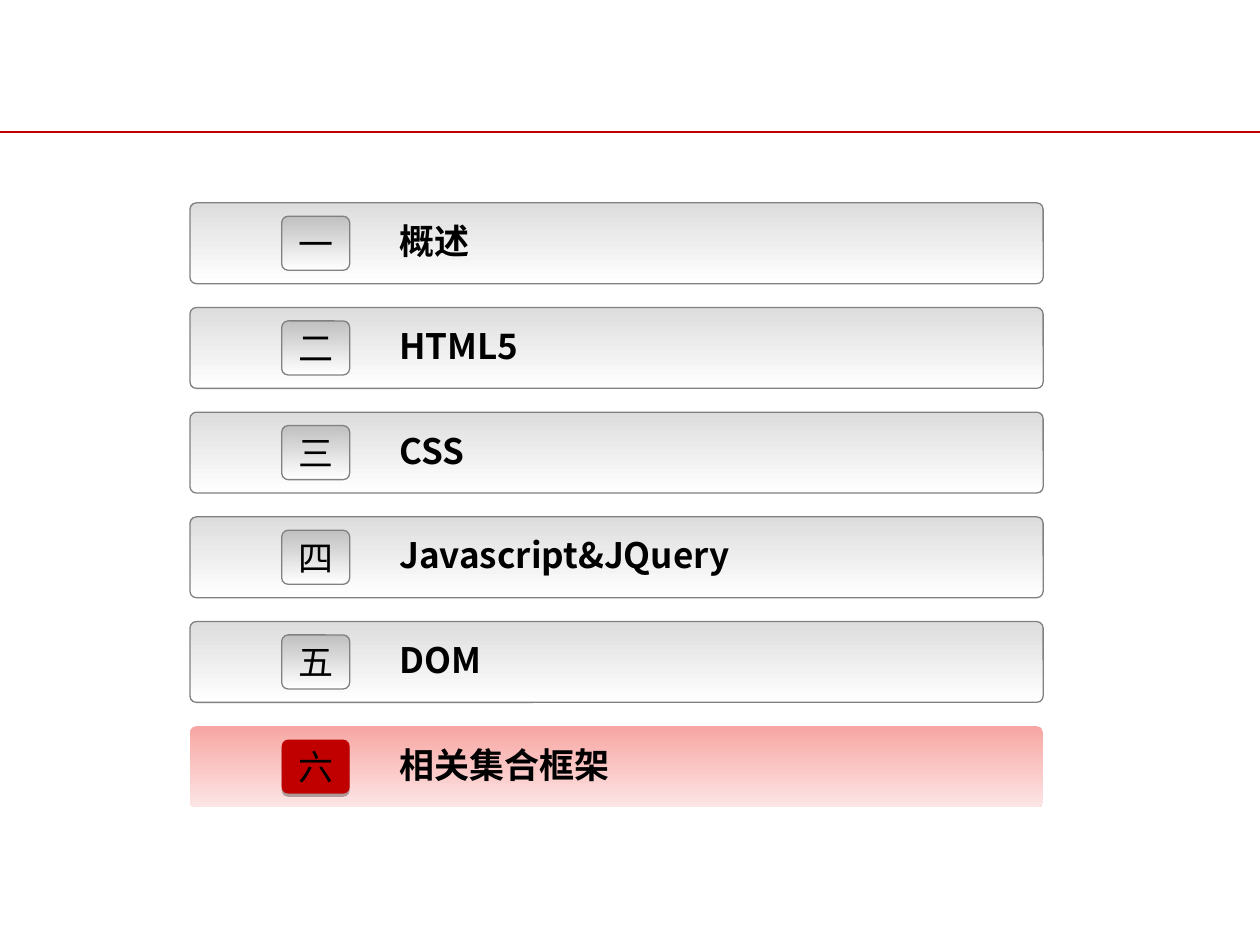
from lxml.etree import SubElement
from pptx import Presentation
from pptx.dml.color import RGBColor
from pptx.enum.shapes import MSO_CONNECTOR, MSO_SHAPE
from pptx.enum.text import MSO_ANCHOR, PP_ALIGN
from pptx.oxml.ns import qn
from pptx.util import Cm, Pt

CHAPTERS = [
    ("一", "概述", "Arial"),
    ("二", "HTML5", "Noto Sans CJK SC"),
    ("三", "CSS", "Noto Sans CJK SC"),
    ("四", "Javascript&JQuery", "Noto Sans CJK SC"),
    ("五", "DOM", "Noto Sans CJK SC"),
    ("六", "相关集合框架", "Noto Sans CJK SC"),
]
CURRENT = 5
FIRST_TOP, ROW_STEP = 4.09, 2.11  # centimetres
RED, GREY = "C00000", "808080"


def color(value):
    return RGBColor.from_string(value)


def write_text(shape, text, font="Noto Sans CJK SC", size=20, bold=False,
               align=PP_ALIGN.LEFT, anchor=MSO_ANCHOR.TOP, wrap=True):
    frame = shape.text_frame
    frame.word_wrap = wrap
    frame.vertical_anchor = anchor
    para = frame.paragraphs[0]
    para.alignment = align
    span = para.add_run()
    span.text = text
    span.font.name = font
    span.font.size = Pt(size)
    span.font.bold = bold
    span.font.color.rgb = color("000000")
    # Chinese characters take the East Asian font
    SubElement(span.font._element, qn("a:ea"), typeface="Noto Sans CJK SC")


def paint(shape, fills, outline=None):
    """Fill with one colour, or with a gradient from top to bottom."""
    if len(fills) == 1:
        shape.fill.solid()
        shape.fill.fore_color.rgb = color(fills[0])
    else:
        shape.fill.gradient()
        shape.fill.gradient_angle = 270
        for stop, value, position in zip(shape.fill.gradient_stops, fills, (0, 1)):
            stop.color.rgb = color(value)
            stop.position = position
    if outline:
        shape.line.color.rgb = color(outline)
        shape.line.width = Pt(0.75)
    else:
        shape.line.fill.background()


def add_panel(page, left, top, width, height, rounding, fills, outline):
    panel = page.shapes.add_shape(MSO_SHAPE.ROUNDED_RECTANGLE,
                                  Cm(left), Cm(top), Cm(width), Cm(height))
    panel.adjustments[0] = rounding
    panel.shadow.inherit = False
    paint(panel, fills, outline)
    return panel


def add_drop_shadow(shape):
    effects = shape._element.spPr.find(qn("a:effectLst"))
    shadow = SubElement(effects, qn("a:outerShdw"), blurRad="0",
                        dist=str(Pt(1.8)), dir="5400000", rotWithShape="0")
    shade = SubElement(shadow, qn("a:srgbClr"), val="000000")
    SubElement(shade, qn("a:alpha"), val="29000")


def add_rule(page, top, width):
    rule = page.shapes.add_connector(MSO_CONNECTOR.STRAIGHT,
                                     0, Cm(top), width, Cm(top))
    rule.line.color.rgb = color(RED)
    rule.line.width = Pt(1.5)
    SubElement(rule._element.spPr, qn("a:effectLst"))


def add_chapter(page, top, number, title, font, current):
    bar_fills = ("F7A6A3", "FDE5E5") if current else ("DDDDDD", "FFFFFF")
    badge_fills = (RED,) if current else ("C0C0C0", "FFFFFF")
    outline = None if current else GREY

    # Bar, numbered badge and chapter title
    add_panel(page, 3.83, top, 17.2, 1.63, 0.08, bar_fills, outline)
    badge = add_panel(page, 5.68, top + 0.27, 1.37, 1.09, 0.12, badge_fills, outline)
    write_text(badge, number, align=PP_ALIGN.CENTER,
               anchor=MSO_ANCHOR.MIDDLE, wrap=False)
    if current:
        add_drop_shadow(badge)
    box = page.shapes.add_textbox(Cm(7.8), Cm(top + 0.22), Cm(8.8), Cm(1.12))
    write_text(box, title, font=font, bold=True)


def main():
    deck = Presentation()
    deck.slide_width, deck.slide_height = Cm(25.4), Cm(19.05)
    page = deck.slides.add_slide(deck.slide_layouts[6])

    add_rule(page, 2.66, deck.slide_width)
    for row, (number, title, font) in enumerate(CHAPTERS):
        add_chapter(page, FIRST_TOP + row * ROW_STEP, number, title, font,
                    current=row == CURRENT)

    deck.save("out.pptx")


if __name__ == "__main__":
    main()
